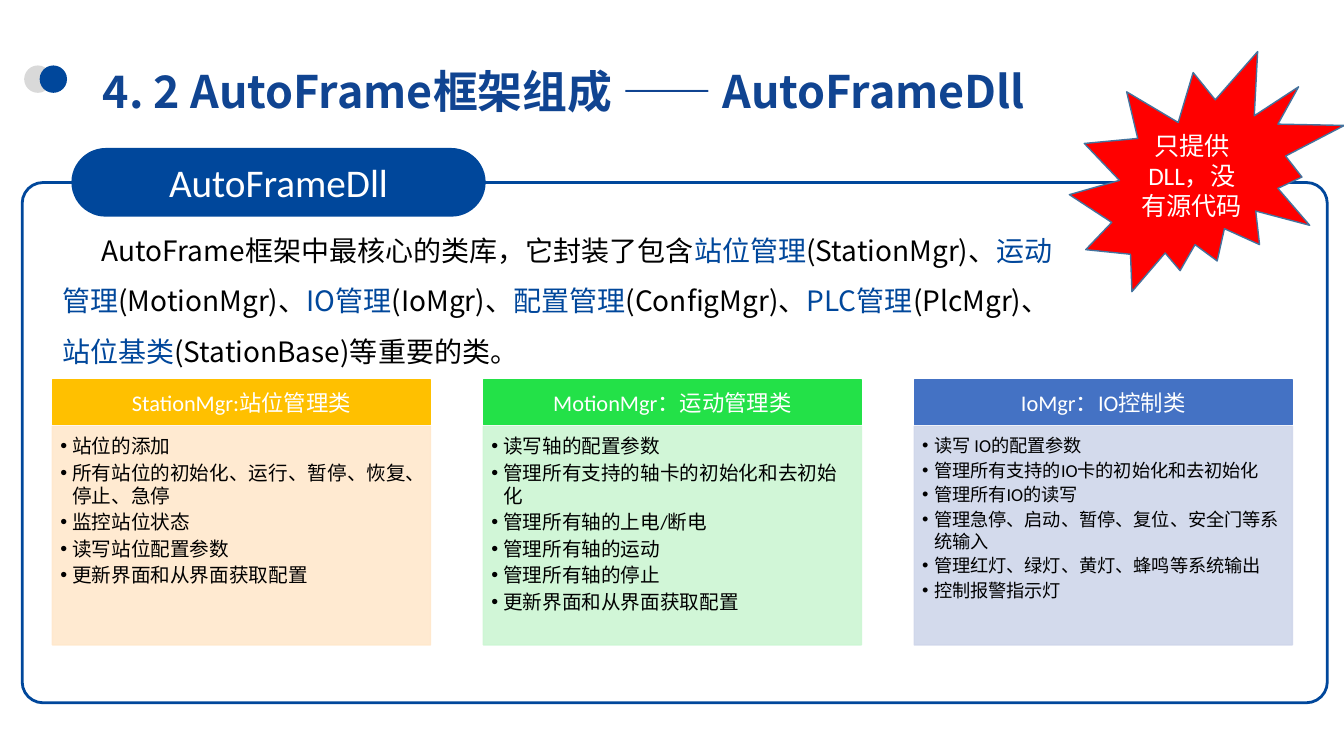
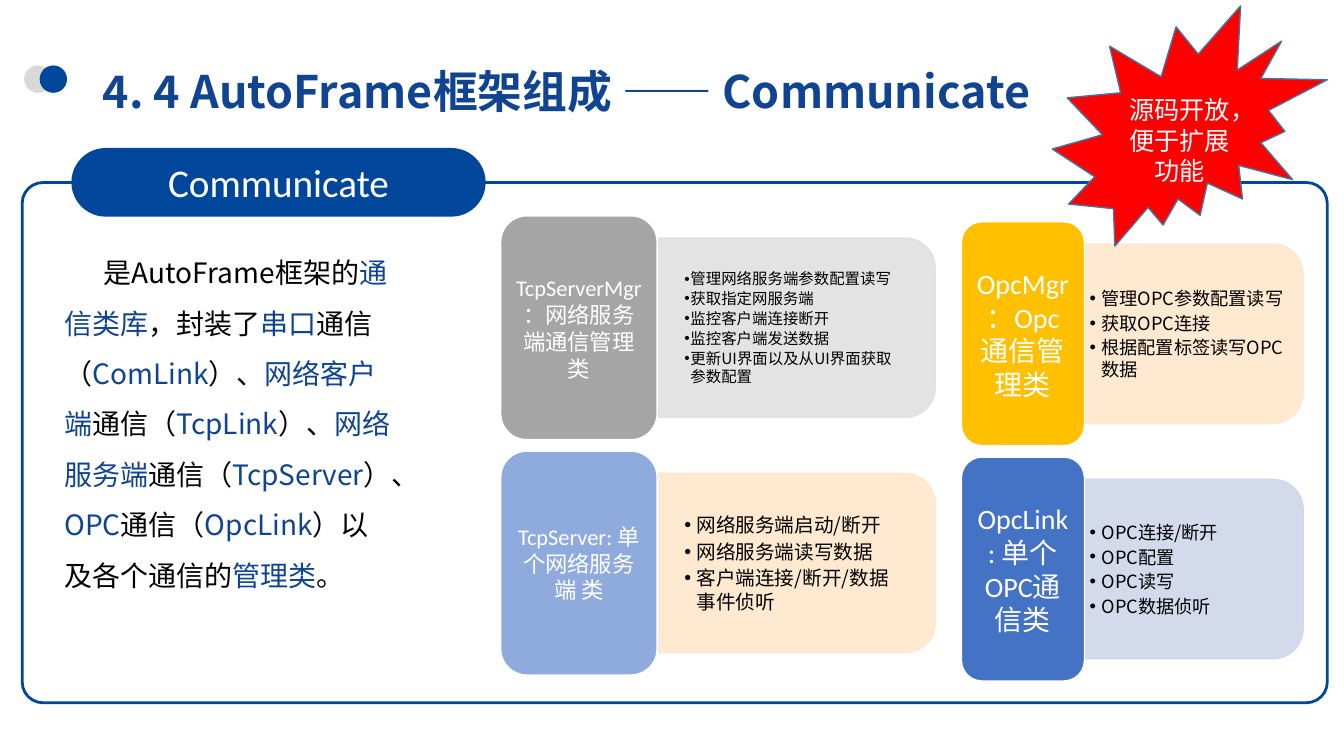
from lxml import etree
from pptx import Presentation
from pptx.dml.color import RGBColor
from pptx.enum.shapes import MSO_SHAPE as Shape
from pptx.enum.text import MSO_ANCHOR as Anchor, MSO_AUTO_SIZE as AutoSize, PP_ALIGN as Align
from pptx.oxml.ns import qn
from pptx.util import Cm, Pt

NAVY = RGBColor(0x00, 0x47, 0x9B)
TITLE_BLUE = RGBColor(0x10, 0x44, 0x91)
WHITE = RGBColor(0xFF, 0xFF, 0xFF)
BLACK = RGBColor(0x00, 0x00, 0x00)
DOT_GREY = RGBColor(0xD9, 0xD9, 0xD9)
RED = RGBColor(0xFF, 0x00, 0x00)
SEAL_EDGE = RGBColor(0x43, 0x73, 0x9E)
AMBER = RGBColor(0xFF, 0xC0, 0x00)
GREEN = RGBColor(0x23, 0xE1, 0x48)
BLUE = RGBColor(0x44, 0x72, 0xC4)
GREY = RGBColor(0xA5, 0xA5, 0xA5)
SKY = RGBColor(0x8F, 0xAA, 0xDC)
PALE_AMBER = RGBColor(0xFF, 0xE8, 0xCC)
PALE_GREEN = RGBColor(0xCC, 0xF6, 0xD3)
PALE_BLUE = RGBColor(0xCF, 0xD6, 0xEA)
PALE_GREY = RGBColor(0xE1, 0xE1, 0xE1)

LATIN = "Calibri"
CJK = "Noto Sans CJK SC"
COMPARISON_LAYOUT = 4


class Sheet:
    """Holds the deck, its style and the slide being filled."""

    def __init__(self):
        self.deck = Presentation()
        self.deck.slide_width, self.deck.slide_height = Cm(33.87), Cm(19.05)

    # Text helpers
    def style(self, para, size, color, face=LATIN, bold=False):
        font = para.font
        font.size, font.bold, font.name = Pt(size), bold, face
        font.color.rgb = color
        defaults = para._p.pPr.find(qn("a:defRPr"))
        etree.SubElement(defaults, qn("a:ea")).set("typeface", CJK)

    def frame(self, box, insets, anchor):
        frame = box.text_frame
        frame.word_wrap, frame.auto_size = True, AutoSize.NONE
        frame.vertical_anchor = anchor
        (frame.margin_left, frame.margin_top,
         frame.margin_right, frame.margin_bottom) = [Cm(inset) for inset in insets]
        return frame

    def place(self, box, left, top, width, height):
        """Move a placeholder and bring it to the front."""
        box.left, box.top, box.width, box.height = Cm(left), Cm(top), Cm(width), Cm(height)
        self.page.shapes._spTree.append(box._element)

    def paint(self, box, color):
        """Fill and edge in one slightly transparent colour."""
        box.fill.solid()
        box.fill.fore_color.rgb = color
        box.line.color.rgb = color
        box.line.width = Pt(1)
        for tone in box._element.spPr.iter(qn("a:srgbClr")):
            etree.SubElement(tone, qn("a:alpha")).set("val", "90000")

    # Elements
    def shape(self, kind, left, top, width, height, fill=None, line=None, weight=1, adjust=None):
        box = self.page.shapes.add_shape(kind, Cm(left), Cm(top), Cm(width), Cm(height))
        box.shadow.inherit = False
        if fill is None:
            box.fill.background()
        else:
            box.fill.solid()
            box.fill.fore_color.rgb = fill
        if line is None:
            box.line.fill.background()
        else:
            box.line.color.rgb = line
            box.line.width = Pt(weight)
        if adjust is not None:
            box.adjustments[0] = adjust
        return box

    def caption(self, box, text, size, insets=(0.18, 0.08, 0.18, 0.08)):
        """White centred text inside a shape."""
        para = self.frame(box, insets, Anchor.MIDDLE).paragraphs[0]
        para.text, para.alignment = text, Align.CENTER
        self.style(para, size, WHITE)

    def start(self, heading, topic):
        """New slide with dots, title, outlined panel and topic tab."""
        self.page = self.deck.slides.add_slide(self.deck.slide_layouts[COMPARISON_LAYOUT])
        self.spare = [box for box in self.page.placeholders if box.placeholder_format.idx > 0]
        for left, color in ((0.61, DOT_GREY), (1, NAVY)):
            self.shape(Shape.OVAL, left, 1.65, 0.69, 0.69, color)
        title = self.page.shapes.title
        self.place(title, 2.34, 1.02, 25.22, 1.96)
        para = self.frame(title, (0.25, 0.13, 0.25, 0.13), Anchor.MIDDLE).paragraphs[0]
        para.text, para.alignment, para.line_spacing = heading, Align.LEFT, 1.4
        self.style(para, 32, TITLE_BLUE, CJK, True)
        self.shape(Shape.ROUNDED_RECTANGLE, 0.56, 4.6, 32.89, 13.11,
                   line=NAVY, weight=2, adjust=0.04)
        tab = self.shape(Shape.ROUNDED_RECTANGLE, 1.8, 3.73, 10.44, 1.73, NAVY, adjust=0.5)
        self.caption(tab, topic, 28)

    def finish(self):
        """Drop the placeholders that were not needed."""
        for box in self.spare:
            box._element.getparent().remove(box._element)

    def intro(self, left, top, width, height, text, accent):
        """Paragraph whose parts between bars take the accent colour."""
        box = self.page.shapes.add_textbox(Cm(left), Cm(top), Cm(width), Cm(height))
        para = self.frame(box, (0.25, 0.13, 0.25, 0.13), Anchor.TOP).paragraphs[0]
        para.line_spacing = 1.5
        para._p.get_or_add_pPr().set("indent", str(Cm(1)))
        self.style(para, 20, BLACK, CJK)
        for number, part in enumerate(text.split("|")):
            span = para.add_run()
            span.text = part
            if number % 2:
                span.font.color.rgb = accent

    def bullets(self, place, items, size, face, insets, anchor, hang=0.3):
        box = self.spare.pop(0)
        self.place(box, *place)
        frame = self.frame(box, insets, anchor)
        for number, item in enumerate(items):
            para = frame.add_paragraph() if number else frame.paragraphs[0]
            para.text, para.alignment = item, Align.LEFT
            para.line_spacing, para.space_before = 1.0, Pt(0)
            para.space_after = Pt(round(size * 0.13))
            props = para._p.get_or_add_pPr()
            props.set("marL", str(Cm(hang)))
            props.set("indent", str(-Cm(hang)))
            etree.SubElement(props, qn("a:buFont")).set("typeface", "Arial")
            etree.SubElement(props, qn("a:buChar")).set("char", "•")
            self.style(para, size, BLACK, face)
        return box

    def card(self, left, heading, items, size, color, pale):
        """Heading bar above a tinted list."""
        bar = self.shape(Shape.RECTANGLE, left, 9.58, 9.53, 1.12, color, color)
        self.caption(bar, heading, 16)
        body = self.bullets((left, 10.74, 9.53, 5.51), items, size, LATIN,
                            (0.2, 0.2, 0.28, 0.3), Anchor.TOP)
        self.paint(body, pale)

    def block(self, left, top, label_width, arm_width, label, label_size, color,
              items, size, pale, insets, hang=0.3):
        """Label with a list in an arm rounded on its right side."""
        arm_left, arm_top, arm_height = left + label_width, top + 0.56, 4.52
        shift = (arm_width - arm_height) / 2
        arm = self.shape(Shape.ROUND_2_SAME_RECTANGLE, arm_left + shift, arm_top - shift,
                         arm_height, arm_width)
        arm.rotation = 90
        self.paint(arm, pale)
        self.bullets((arm_left, arm_top + 0.23, arm_width - 0.22, 4.06), items, size, CJK,
                     insets, Anchor.MIDDLE, hang)
        box = self.shape(Shape.ROUNDED_RECTANGLE, left, top, label_width, 5.64, color, WHITE)
        self.caption(box, label, label_size)

    def seal(self, left, top, text, insets):
        star = self.shape(Shape.EXPLOSION2, left, top, 6.93, 6.05, RED, SEAL_EDGE)
        self.caption(star, text, 18, insets)


def library_slide(sheet):
    sheet.start("4. 2 AutoFrame框架组成 —— AutoFrameDll", "AutoFrameDll")
    sheet.intro(1.32, 5.33, 25.63, 5.38,
                "AutoFrame框架中最核心的类库，它封装了包含|站位管理|(StationMgr)、|运动管理|"
                "(MotionMgr)、|IO管理|(IoMgr)、|配置管理|(ConfigMgr)、|PLC管理|(PlcMgr)、"
                "|站位基类|(StationBase)等重要的类。", NAVY)
    sheet.seal(26.95, 1.3, "只提供DLL，没有源代码", (0, 0.13, 0.25, 0.13))
    cards = [
        ("StationMgr:站位管理类",
         ["站位的添加", "所有站位的初始化、运行、暂停、恢复、停止、急停", "监控站位状态",
          "读写站位配置参数", "更新界面和从界面获取配置"], 14, AMBER, PALE_AMBER),
        ("MotionMgr：运动管理类",
         ["读写轴的配置参数", "管理所有支持的轴卡的初始化和去初始化", "管理所有轴的上电/断电",
          "管理所有轴的运动", "管理所有轴的停止", "更新界面和从界面获取配置"],
         14, GREEN, PALE_GREEN),
        ("IoMgr：IO控制类",
         ["读写 IO的配置参数", "管理所有支持的IO卡的初始化和去初始化", "管理所有IO的读写",
          "管理急停、启动、暂停、复位、安全门等系统输入",
          "管理红灯、绿灯、黄灯、蜂鸣等系统输出", "控制报警指示灯"], 13, BLUE, PALE_BLUE),
    ]
    for column, card in enumerate(cards):
        sheet.card(1.32 + column * 10.86, *card)
    sheet.finish()


def communication_slide(sheet):
    sheet.start("4. 4 AutoFrame框架组成 —— Communicate", "Communicate")
    sheet.intro(1.37, 5.89, 8.84, 10.52,
                "是AutoFrame框架的|通信类库|，封装了|串口|通信（|ComLink|）、|网络客户端|通信（"
                "|TcpLink|）、|网络服务端|通信（|TcpServer|）、|OPC|通信（|OpcLink|"
                "）以及各个通信的|管理类|。", TITLE_BLUE)
    # Each column: left, top, label width, arm width, label size, list insets, blocks
    columns = [
        (12.62, 5.44, 3.94, 7.01, 16, (0.69, 0.36, 0.69, 0.36), [
            ("TcpServerMgr：网络服务端通信管理类", GREY,
             ["管理网络服务端参数配置读写", "获取指定网服务端", "监控客户端连接断开",
              "监控客户端发送数据", "更新UI界面以及从UI界面获取参数配置"], 11, PALE_GREY, 0.15),
            ("TcpServer: 单个网络服务端 类", SKY,
             ["网络服务端启动/断开", "网络服务端读写数据", "客户端连接/断开/数据事件侦听"],
             14, PALE_AMBER, 0.3)]),
        (24.23, 5.59, 3.1, 5.51, 20, (0.13, 0.08, 0.13, 0.08), [
            ("OpcMgr：Opc通信管理类", AMBER,
             ["管理OPC参数配置读写", "获取OPC连接", "根据配置标签读写OPC数据"],
             13, PALE_AMBER, 0.3),
            ("OpcLink: 单个OPC通信类", BLUE,
             ["OPC连接/断开", "OPC配置", "OPC读写", "OPC数据侦听"], 13, PALE_BLUE, 0.3)]),
    ]
    for left, top, label_width, arm_width, label_size, insets, blocks in columns:
        for row, (label, color, items, size, pale, hang) in enumerate(blocks):
            sheet.block(left, top + row * 5.93, label_width, arm_width, label, label_size,
                        color, items, size, pale, insets, hang)
    sheet.seal(26.52, 0.15, "源码开放，便于扩展功能", (0, 0.51, 0, 0))
    sheet.finish()


def main():
    sheet = Sheet()
    library_slide(sheet)
    communication_slide(sheet)
    sheet.deck.save("out.pptx")


if __name__ == "__main__":
    main()
